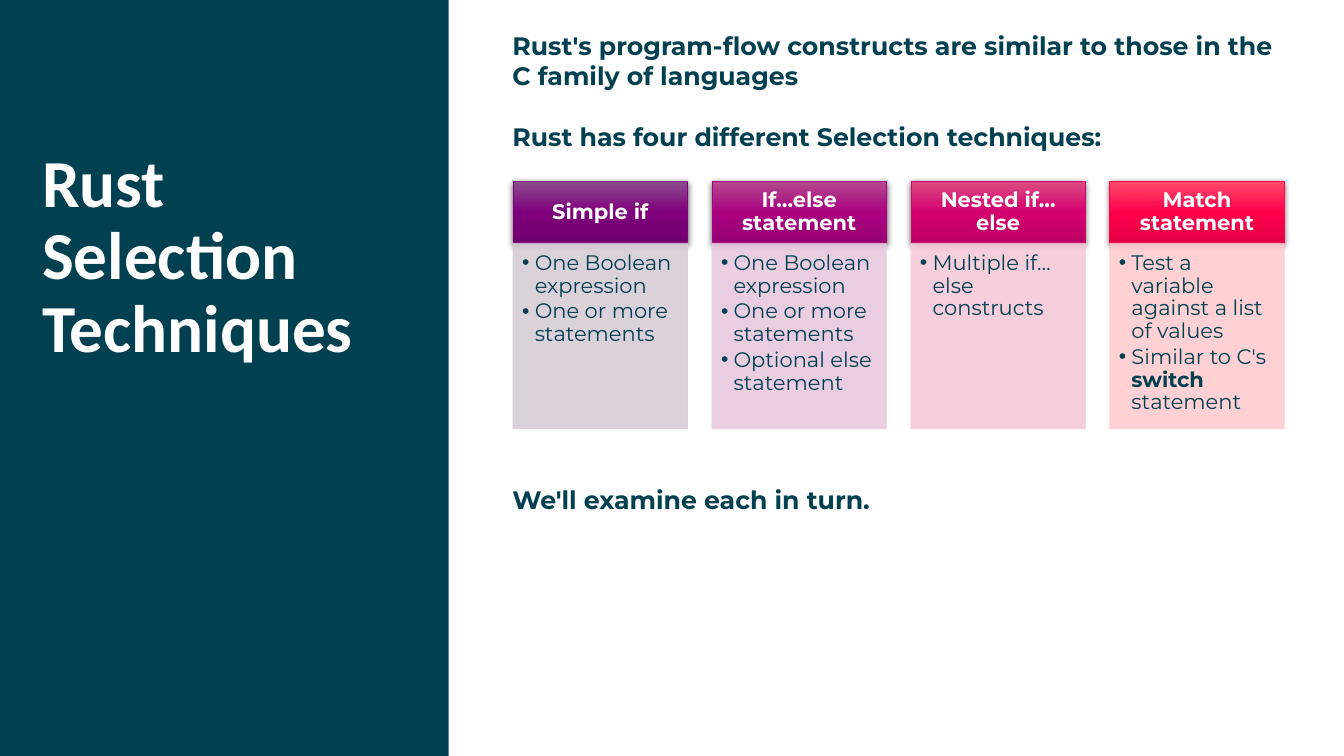
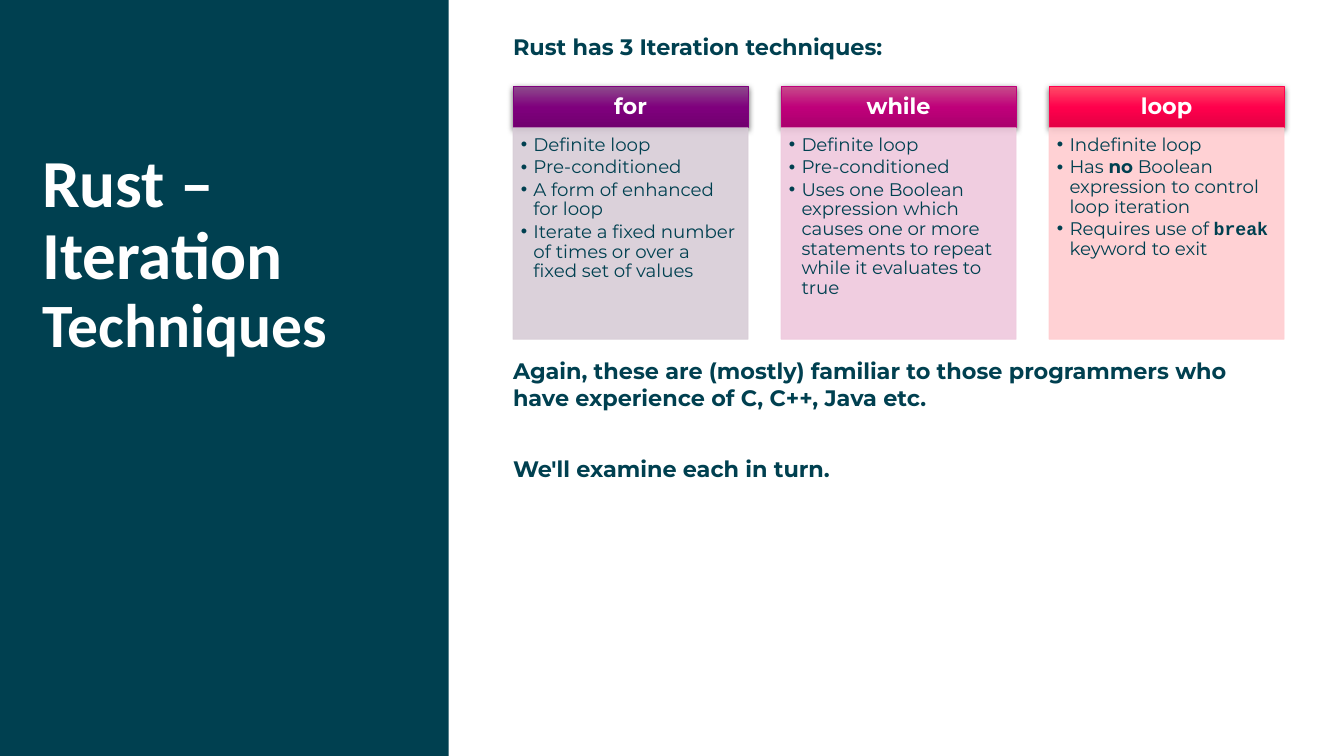
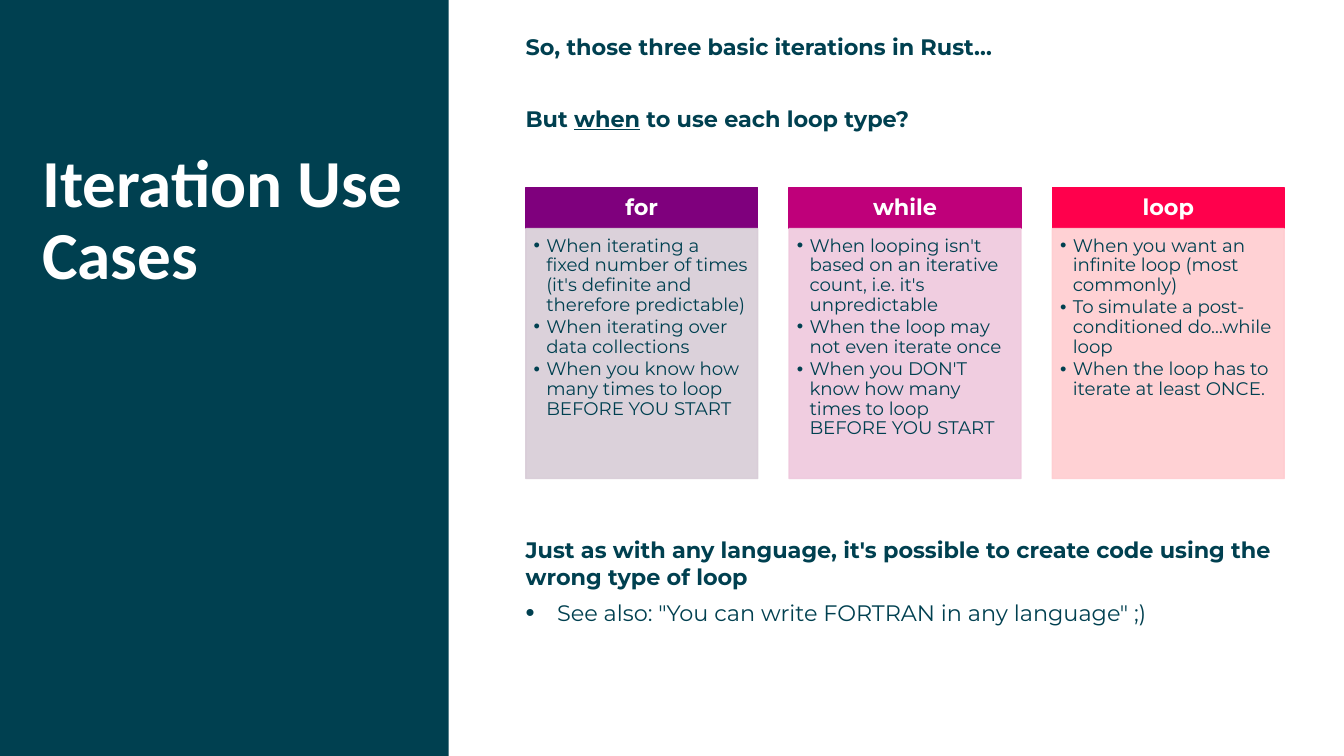
"""Build three slides on selection and iteration in Rust."""
from copy import deepcopy

from lxml import etree
from pptx import Presentation
from pptx.dml.color import RGBColor
from pptx.enum import shapes, text
from pptx.oxml import ns
from pptx.util import Pt

TEAL, WHITE = "004050", "FFFFFF"
BODY_FONT, TITLE_FONT, CODE_FONT = "Montserrat", "Calibri", "Courier New"
RIGHT_EDGE = 917.3

PURPLE = {"head": ("8D4B8C", "7F007D", "71006F"), "body": "D8CCD7"}
PLUM = {"head": ("B34B8E", "AA0080", "970072"), "body": "E9C8DE"}
MAGENTA = {"head": ("C74B8A", "BF007A", "AA006D"), "body": "EFC8DD"}
ROSE = {"head": ("DB4B81", "D40070", "BD0063"), "body": "F6C9D9"}
RED = {"head": ("FF4B67", "FF004C", "E30044"), "body": "FFCCD0"}

SLIDES = [
    {
        "title": [("Rust Selection Techniques", {})],
        "left": 366, "size": 18,
        "statements": [
            (21.6, ["Rust's program-flow constructs are similar to those in the "
                    "C family of languages"]),
            (86.6, ["Rust has four different Selection techniques:"]),
            (345.9, ["We'll examine each in turn."]),
        ],
        "cards": {"left": 366.5, "top": 129.5, "gap": 17.5, "head": 44.3, "body": 132.5,
                  "head_size": 15, "body_size": 15, "glossy": True},
        "columns": [
            ("Simple if", PURPLE, ["One Boolean expression", "One or more statements"]),
            ("If…else statement", PLUM, ["One Boolean expression", "One or more statements",
                                         "Optional else statement"]),
            ("Nested if…else", ROSE, ["Multiple if…else constructs"]),
            ("Match statement", RED, [
                "Test a variable against a list of values",
                [("Similar to C's ", {}), ("switch", {"bold": True}), (" statement", {})]]),
        ],
    },
    {
        "title": [("Rust – Iteration ", {}), ("Techniques", {"size": 44})],
        "left": 366.5, "size": 16,
        "statements": [
            (23.8, ["Rust has 3 Iteration techniques:"]),
            (255.2, ["Again, these are (mostly) familiar to those programmers who "
                     "have experience of C, C++, Java etc."]),
            (325.2, ["We'll examine each in turn."]),
        ],
        "cards": {"left": 366.5, "top": 61.8, "gap": 23.5, "head": 29.5, "body": 151,
                  "head_size": 16, "body_size": 13, "glossy": True},
        "columns": [
            ("for", PURPLE, ["Definite loop", "Pre-conditioned", "A form of enhanced for loop",
                             "Iterate a fixed number of times or over a fixed set of values"]),
            ("while", MAGENTA, [
                "Definite loop", "Pre-conditioned",
                "Uses one Boolean expression which causes one or more statements "
                "to repeat while it evaluates to true"]),
            ("loop", RED, [
                "Indefinite loop",
                [("Has ", {}), ("no", {"bold": True}),
                 (" Boolean expression to control loop iteration", {})],
                [("Requires use of ", {}), ("break", {"bold": True, "name": CODE_FONT}),
                 (" keyword to exit", {})]]),
        ],
    },
    {
        "title": [("Iteration Use Cases", {})],
        "left": 375.5, "size": 16,
        "statements": [
            (23.8, ["So, those three basic iterations in Rust…"]),
            (75.2, [[("But ", {}), ("when", {"underline": True}),
                     (" to use each loop type?", {})]]),
            (383.1, ["Just as with any language, it's possible to create code using the "
                     "wrong type of loop",
                     [("See also: \"You can write FORTRAN in any language\" ;)",
                       {"bold": False})]]),
        ],
        "cards": {"left": 375.6, "top": 133.8, "gap": 22.5, "head": 29.5, "body": 178.5,
                  "head_size": 16, "body_size": 13, "glossy": False},
        "columns": [
            ("for", PURPLE, [
                "When iterating a fixed number of times (it's definite and therefore predictable)",
                "When iterating over data collections",
                "When you know how many times to loop BEFORE YOU START"]),
            ("while", MAGENTA, [
                "When looping isn't based on an iterative count, i.e. it's unpredictable",
                "When the loop may not even iterate once",
                "When you DON'T know how many times to loop BEFORE YOU START"]),
            ("loop", RED, [
                "When you want an infinite loop (most commonly)",
                "To simulate a post-conditioned do…while loop",
                "When the loop has to iterate at least ONCE."]),
        ],
    },
]


def rgb(value):
    return RGBColor.from_string(value)


def add_xml(parent, tag, **attributes):
    values = {key: str(value) for key, value in attributes.items()}
    return etree.SubElement(parent, ns.qn(tag), values)


def add_bullet(para, indent, percent=100):
    props = para._p.get_or_add_pPr()
    props.set("marL", str(Pt(indent)))
    props.set("indent", str(-Pt(indent)))
    add_xml(props, "a:buSzPct", val=percent * 1000)
    add_xml(props, "a:buFont", typeface="Arial")
    add_xml(props, "a:buChar", char="•")


def set_frame(shape, insets=(0, 0, 0, 0), anchor=text.MSO_ANCHOR.TOP):
    frame = shape.text_frame
    frame.word_wrap = True
    frame.vertical_anchor = anchor
    (frame.margin_left, frame.margin_top,
     frame.margin_right, frame.margin_bottom) = map(Pt, insets)
    return frame


def write(frame, paragraphs, color, size, bold=False, name=BODY_FONT,
          align=text.PP_ALIGN.LEFT, line=1.0, after=0):
    for index, content in enumerate(paragraphs):
        para = frame.add_paragraph() if index else frame.paragraphs[0]
        para.alignment, para.line_spacing, para.space_after = align, line, Pt(after)
        for words, style in [(content, {})] if isinstance(content, str) else content:
            span = para.add_run()
            span.text = words
            font = span.font
            font.size = Pt(style.get("size", size))
            font.name = style.get("name", name)
            font.bold = style.get("bold", bold)
            font.underline = style.get("underline")
            font.color.rgb = rgb(color)


def add_text(page, left, top, width, height):
    return set_frame(page.shapes.add_textbox(Pt(left), Pt(top), Pt(width), Pt(height)))


def add_box(page, left, top, width, height, color, line_width=None):
    box = page.shapes.add_shape(shapes.MSO_SHAPE.RECTANGLE,
                                Pt(left), Pt(top), Pt(width), Pt(height))
    box.shadow.inherit = False
    box.fill.solid()
    box.fill.fore_color.rgb = rgb(color)
    if line_width:
        box.line.color.rgb = rgb(color)
        box.line.width = Pt(line_width)
    else:
        box.line.fill.background()
    return box


def make_glossy(box, colors):
    box.fill.gradient()
    box.fill.gradient_angle = 270
    stops = box._element.spPr.find(ns.qn("a:gradFill")).find(ns.qn("a:gsLst"))
    stops.append(deepcopy(stops[-1]))
    for stop, color, position in zip(box.fill.gradient_stops, colors, (0, 0.5, 1)):
        stop.color.rgb = rgb(color)
        stop.position = position
    effects = box._element.spPr.find(ns.qn("a:effectLst"))
    shadow = add_xml(effects, "a:outerShdw", blurRad=Pt(4.5), dist=Pt(1.5),
                     dir=5400000, rotWithShape=0)
    add_xml(add_xml(shadow, "a:srgbClr", val="000000"), "a:alpha", val=63000)


def make_translucent(box):
    for color in box._element.spPr.iter(ns.qn("a:srgbClr")):
        add_xml(color, "a:alpha", val=90000)


def add_cards(page, layout, columns):
    left, top, gap, glossy = (layout[key] for key in ("left", "top", "gap", "glossy"))
    count = len(columns)
    width = (RIGHT_EDGE - left - gap * (count - 1)) / count
    line_width = 0.5 if glossy else 1
    size = layout["body_size"]
    for index, (heading, palette, points) in enumerate(columns):
        x = left + index * (width + gap)
        head = add_box(page, x, top, width, layout["head"], palette["head"][1], line_width)
        if glossy:
            make_glossy(head, palette["head"])
        frame = set_frame(head, (8.5, 4.9, 8.5, 4.9), text.MSO_ANCHOR.MIDDLE)
        write(frame, [heading], WHITE, layout["head_size"], bold=True,
              align=text.PP_ALIGN.CENTER, line=0.9)

        body = add_box(page, x, top + layout["head"], width, layout["body"],
                       palette["body"], line_width)
        make_translucent(body)
        frame = set_frame(body, [size * share for share in (0.43, 0.43, 0.57, 0.64)])
        write(frame, points, TEAL, size, line=0.9, after=size * 0.15)
        for para in frame.paragraphs:
            add_bullet(para, 9)


def add_page(deck, content):
    page = deck.slides.add_slide(deck.slide_layouts[6])
    add_box(page, 0, 0, 320.4, 540, TEAL)
    write(add_text(page, 30.2, 106.6, 271.4, 216.7), [content["title"]], WHITE, 48,
          bold=True, name=TITLE_FONT, line=0.9)
    add_cards(page, content["cards"], content["columns"])
    left, size = content["left"], content["size"]
    for top, paragraphs in content["statements"]:
        frame = add_text(page, left, top, 918 - left, size * 2.5)
        write(frame, paragraphs, TEAL, size, bold=True, after=6.5)
        for para in frame.paragraphs[1:]:
            add_bullet(para, 22.5, 115)


def main():
    deck = Presentation()
    deck.slide_width, deck.slide_height = Pt(960), Pt(540)
    for content in SLIDES:
        add_page(deck, content)
    deck.save("out.pptx")


if __name__ == "__main__":
    main()
